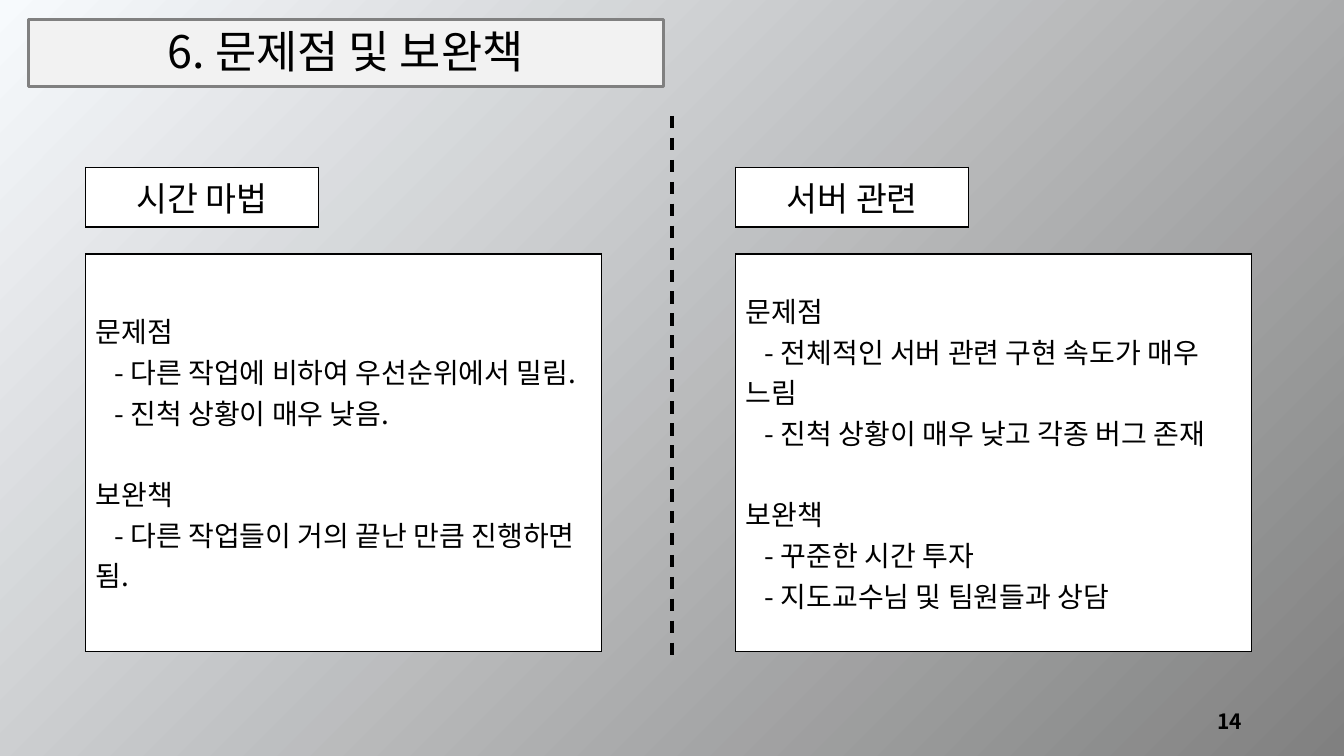
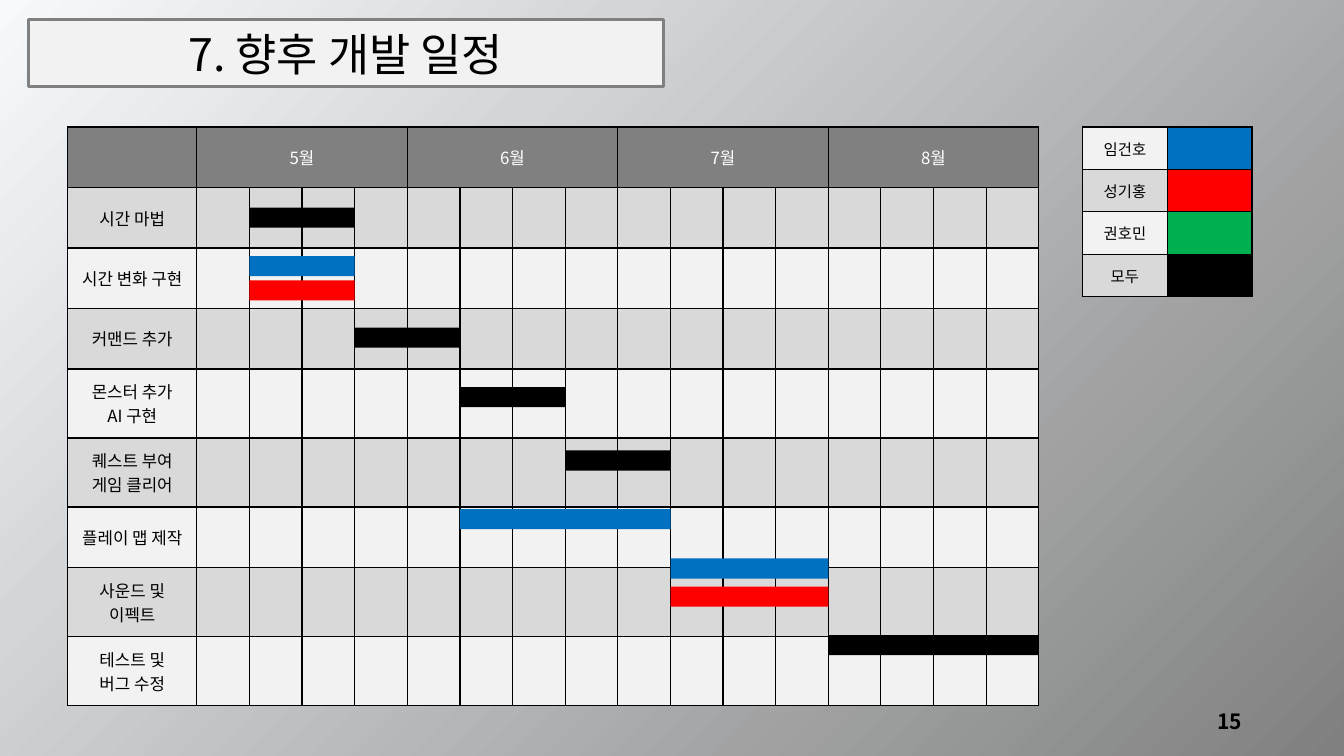
from lxml.etree import SubElement
from pptx import Presentation
from pptx.dml.color import RGBColor
from pptx.enum.dml import MSO_LINE
from pptx.enum.shapes import MSO_CONNECTOR, MSO_SHAPE
from pptx.enum.text import MSO_ANCHOR as Anchor, PP_ALIGN as Align
from pptx.oxml.ns import qn
from pptx.util import Pt

FONT = "Noto Sans CJK KR"
COLORS = {
    "black": "000000", "white": "FFFFFF", "gray": "808080", "mist": "F7FAFD",
    "light": "F2F2F2", "band": "D9D9D9",
    "blue": "0070C0", "red": "FF0000", "green": "00B050",
}

ISSUES_TITLE = "6. 문제점 및 보완책"
ISSUES = [
    ("시간 마법", [
        ("문제점", ["다른 작업에 비하여 우선순위에서 밀림.", "진척 상황이 매우 낮음."]),
        ("보완책", ["다른 작업들이 거의 끝난 만큼 진행하면 됨."]),
    ]),
    ("서버 관련", [
        ("문제점", ["전체적인 서버 관련 구현 속도가 매우 느림", "진척 상황이 매우 낮고 각종 버그 존재"]),
        ("보완책", ["꾸준한 시간 투자", "지도교수님 및 팀원들과 상담"]),
    ]),
]

PLAN_TITLE = "7. 향후 개발 일정"
MONTHS = ["5월", "6월", "7월", "8월"]
WEEKS = 4
TASKS = [
    (["시간 마법"], 43.2),
    (["시간 변화 구현"], 43.2),
    (["커맨드 추가"], 43.2),
    (["몬스터 추가", "AI 구현"], 49.3),
    (["퀘스트 부여", "게임 클리어"], 49.3),
    (["플레이 맵 제작"], 43.2),
    (["사운드 및 이펙트"], 49.3),
    (["테스트 및", "버그 수정"], 49.3),
]
BARS = [
    (1, 2, 148.3, "black"),
    (1, 2, 182.9, "blue"),
    (1, 2, 200.2, "red"),
    (3, 2, 234, "black"),
    (5, 2, 276.5, "black"),
    (7, 2, 321.8, "black"),
    (5, 4, 363.6, "blue"),
    (9, 3, 398.9, "blue"),
    (9, 3, 419, "red"),
    (12, 4, 453.6, "black"),
]
LEGEND = [("임건호", "blue"), ("성기홍", "red"), ("권호민", "green"), ("모두", "black")]
PLAN_LEFT, PLAN_TOP, NAME_WIDTH, WEEK_WIDTH, HEAD_HEIGHT = 48.4, 90.7, 92.2, 37.6, 43.2


def color(name):
    return RGBColor.from_string(COLORS[name])


def style(para, size, ink="black", align=Align.LEFT, bold=False):
    para.alignment = align
    font = para.font
    font.name, font.size, font.bold = FONT, Pt(size), bold
    font.color.rgb = color(ink)
    props = para._p.pPr.find(qn("a:defRPr"))
    SubElement(props, qn("a:ea")).set("typeface", FONT)


def write(frame, lines, size, **look):
    for index, line in enumerate(lines):
        para = frame.paragraphs[0] if index == 0 else frame.add_paragraph()
        para.text = line
        style(para, size, **look)


def add_rect(page, left, top, width, height, fill, line=None):
    box = page.shapes.add_shape(MSO_SHAPE.RECTANGLE, Pt(left), Pt(top), Pt(width), Pt(height))
    box.shadow.inherit = False
    box.fill.solid()
    box.fill.fore_color.rgb = color(fill)
    if line:
        box.line.color.rgb = color(line)
        box.line.width = Pt(2.25)
    else:
        box.line.fill.background()
    return box


def add_page(deck, title, number, lift):
    page = deck.slides.add_slide(deck.slide_layouts[6])
    band = add_rect(page, 20.2, 13.7, 453.6, 48.2, "light", "gray")
    frame = band.text_frame
    frame.vertical_anchor = Anchor.BOTTOM
    frame.margin_bottom = Pt(lift)
    write(frame, [title], 32, align=Align.CENTER)
    frame.paragraphs[0].line_spacing = 0.9
    box = page.shapes.add_textbox(Pt(678.2), Pt(500.4), Pt(216), Pt(28.8))
    box.text_frame.word_wrap = True
    box.text_frame.vertical_anchor = Anchor.MIDDLE
    write(box.text_frame, [str(number)], 15, align=Align.RIGHT, bold=True)
    return page


def add_grid(page, left, top, widths, heights):
    frame = page.shapes.add_table(len(heights), len(widths), Pt(left), Pt(top),
                                  Pt(sum(widths)), Pt(sum(heights)))
    table = frame.table
    table.first_row = table.horz_banding = False
    for column, width in zip(table.columns, widths):
        column.width = Pt(width)
    for row, height in zip(table.rows, heights):
        row.height = Pt(height)
    return table


def fill_cell(cell, fill, lines=(), size=12, pad=7.2, **look):
    props = cell._tc.get_or_add_tcPr()
    for side in ("lnL", "lnR", "lnT", "lnB"):
        edge = SubElement(props, qn(f"a:{side}"), w=str(Pt(1)))
        paint = SubElement(edge, qn("a:solidFill"))
        SubElement(paint, qn("a:srgbClr"), val=COLORS["black"])
    cell.fill.solid()
    cell.fill.fore_color.rgb = color(fill)
    cell.vertical_anchor = Anchor.MIDDLE
    cell.margin_top = cell.margin_bottom = Pt(pad if lines else 0)
    write(cell.text_frame, lines, size, **look)


def add_issue(page, left, label, groups):
    heading = add_grid(page, left, 119.5, [166.3], [42.6]).cell(0, 0)
    fill_cell(heading, "white", [label], 24, pad=3.6, align=Align.CENTER)
    body = add_grid(page, left, 181.4, [368.6], [283.7]).cell(0, 0)
    lines = [line for head, points in groups
             for line in [head] + [f"- {point}" for point in points]]
    fill_cell(body, "white", lines, 20, pad=3.6)
    heads = [head for head, points in groups]
    for para in body.text_frame.paragraphs:
        if para.text not in heads:
            para._p.pPr.set("marL", "0")
            para._p.pPr.set("indent", str(Pt(13.4)))
        elif para.text != heads[0]:
            para.space_before = Pt(29)


def build_issues(deck):
    page = add_page(deck, ISSUES_TITLE, 14, 5.8)
    divider = page.shapes.add_connector(MSO_CONNECTOR.STRAIGHT, Pt(480), Pt(82.8), Pt(480), Pt(470.9))
    divider.line.color.rgb = color("black")
    divider.line.width = Pt(2.25)
    divider.line.dash_style = MSO_LINE.DASH
    SubElement(divider._element.spPr, qn("a:effectLst"))
    for index, (label, groups) in enumerate(ISSUES):
        add_issue(page, 61.2 + index * 464.4, label, groups)


def stripe(index):
    return "band" if index % 2 else "light"


def build_plan(deck):
    page = add_page(deck, PLAN_TITLE, 15, 3.6)
    slots = len(MONTHS) * WEEKS
    table = add_grid(page, PLAN_LEFT, PLAN_TOP, [NAME_WIDTH] + [WEEK_WIDTH] * slots,
                     [HEAD_HEIGHT] + [height for names, height in TASKS])
    heads = {1 + index * WEEKS: month for index, month in enumerate(MONTHS)}
    for column in range(slots + 1):
        lines = [heads[column]] if column in heads else []
        fill_cell(table.cell(0, column), "gray", lines, ink="white", align=Align.CENTER)
    for column in heads:
        table.cell(0, column).merge(table.cell(0, column + WEEKS - 1))
    for row, (names, height) in enumerate(TASKS, 1):
        for column in range(slots + 1):
            lines = [] if column else names
            fill_cell(table.cell(row, column), stripe(row), lines, align=Align.CENTER)

    legend = add_grid(page, 773.3, PLAN_TOP, [60.5] * 2, [30.3] * len(LEGEND))
    for row, (name, paint) in enumerate(LEGEND):
        fill_cell(legend.cell(row, 0), stripe(row), [name], 11, align=Align.CENTER)
        fill_cell(legend.cell(row, 1), paint)

    for start, length, top, paint in BARS:
        left = PLAN_LEFT + NAME_WIDTH + start * WEEK_WIDTH
        add_rect(page, left, top, length * WEEK_WIDTH, 14.4, paint)


def main():
    deck = Presentation()
    deck.slide_width, deck.slide_height = Pt(960), Pt(540)
    backdrop = deck.slide_master.background.fill
    backdrop.gradient()
    backdrop.gradient_angle = 315
    for stop, name in zip(backdrop.gradient_stops, ("mist", "gray")):
        stop.color.rgb = color(name)
    build_issues(deck)
    build_plan(deck)
    deck.save("out.pptx")


if __name__ == "__main__":
    main()
